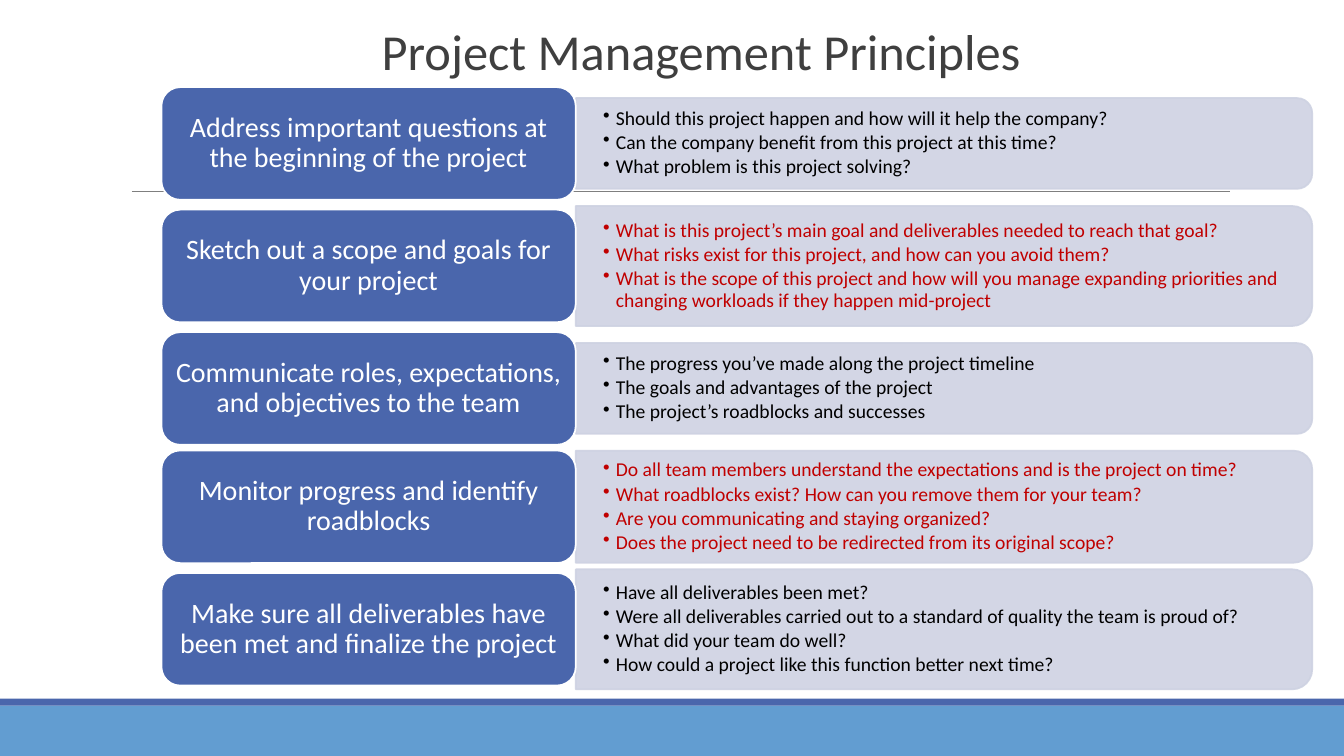
"""Build the project management principles slide."""
from lxml import etree
from pptx import Presentation
from pptx.dml.color import RGBColor
from pptx.enum.shapes import MSO_CONNECTOR, MSO_SHAPE as Preset
from pptx.enum.text import MSO_ANCHOR as Anchor, MSO_AUTO_SIZE as AutoSize, PP_ALIGN as Align
from pptx.oxml.ns import qn
from pptx.util import Pt

COLORS = {
    "blue": "4A66AC", "sky": "629DD1", "panel": "CED2E2", "rule": "7F7F7F",
    "title": "3F3F3F", "white": "FFFFFF", "black": "000000", "red": "C00000",
}


def write(holder, lines, size, color, align=Align.LEFT, anchor=Anchor.MIDDLE,
          insets=(0, 0, 0, 0), spacing=0.9, bulleted=False):
    frame = holder.text_frame
    frame.word_wrap = True
    frame.auto_size = AutoSize.NONE
    frame.vertical_anchor = anchor
    frame.margin_left, frame.margin_top, frame.margin_right, frame.margin_bottom = map(Pt, insets)
    for index, line in enumerate(lines):
        paragraph = frame.paragraphs[0] if index == 0 else frame.add_paragraph()
        if bulleted:
            props = paragraph._p.get_or_add_pPr()
            props.set("marL", str(Pt(9)))
            props.set("indent", str(-Pt(9)))
            tint = etree.SubElement(props, qn("a:buClr"))
            etree.SubElement(tint, qn("a:srgbClr"), val=COLORS[color])
            etree.SubElement(props, qn("a:buChar"), char="•")
            paragraph.level = 1
        paragraph.alignment = align
        paragraph.line_spacing = spacing
        paragraph.space_before = Pt(2.1 if index else 0)
        run = paragraph.add_run()
        run.text = line
        run.font.name = "Calibri"
        run.font.size = Pt(size)
        run.font.color.rgb = RGBColor.from_string(COLORS[color])


def add_block(preset, left, top, width, height, fill, outline=None):
    block = slide.shapes.add_shape(preset, Pt(left), Pt(top), Pt(width), Pt(height))
    block.shadow.inherit = False
    block.fill.solid()
    block.fill.fore_color.rgb = RGBColor.from_string(COLORS[fill])
    if outline:
        block.line.color.rgb = RGBColor.from_string(COLORS[outline])
        block.line.width = Pt(1.25)
    else:
        block.line.fill.background()
    return block


deck = Presentation()
deck.slide_width, deck.slide_height = Pt(960), Pt(540)
slide = deck.slides.add_slide(deck.slide_layouts[5])

add_block(Preset.RECTANGLE, 0, 504, 960, 36, "sky")
add_block(Preset.RECTANGLE, 0, 499, 960, 5, "blue")

rule = slide.shapes.add_connector(MSO_CONNECTOR.STRAIGHT, Pt(94.3), Pt(136.8), Pt(878.3), Pt(136.8))
rule.line.color.rgb = RGBColor.from_string(COLORS["rule"])
rule.line.width = Pt(0.75)
etree.SubElement(rule._element.spPr, qn("a:effectLst"))

title = slide.shapes.title
title.left, title.top, title.width, title.height = Pt(126), Pt(22.3), Pt(750), Pt(76.3)
write(title, ["Project Management Principles"], 36, "title", align=Align.CENTER,
      anchor=Anchor.BOTTOM, insets=(7.2, 0, 7.2, 41), spacing=0.85)

principles = [
    (102.5, 64.8, "black", "Address important questions at the beginning of the project", [
        "Should this project happen and how will it help the company?",
        "Can the company benefit from this project at this time?",
        "What problem is this project solving?"]),
    (190, 85.7, "red", "Sketch out a scope and goals for your project", [
        "What is this project’s main goal and deliverables needed to reach that goal?",
        "What risks exist for this project, and how can you avoid them?",
        "What is the scope of this project and how will you manage expanding priorities "
        "and changing workloads if they happen mid-project"]),
    (277.5, 64.8, "black", "Communicate roles, expectations, and objectives to the team", [
        "The progress you’ve made along the project timeline",
        "The goals and advantages of the project",
        "The project’s roadblocks and successes"]),
    (362, 80, "red", "Monitor progress and identify roadblocks", [
        "Do all team members understand the expectations and is the project on time?",
        "What roadblocks exist? How can you remove them for your team?",
        "Are you communicating and staying organized?",
        "Does the project need to be redirected from its original scope?"]),
    (449.5, 85.7, "black", "Make sure all deliverables have been met and finalize the project", [
        "Have all deliverables been met?",
        "Were all deliverables carried out to a standard of quality the team is proud of?",
        "What did your team do well?",
        "How could a project like this function better next time?"]),
]
HEADING_LEFT, HEADING_WIDTH, HEADING_HEIGHT = 115.3, 296, 80.5
PANEL_LEFT, PANEL_WIDTH = HEADING_LEFT + HEADING_WIDTH, 526

for middle, depth, color, heading, questions in principles:
    panel = add_block(Preset.ROUND_2_SAME_RECTANGLE, PANEL_LEFT + (PANEL_WIDTH - depth) / 2,
                      middle - PANEL_WIDTH / 2, depth, PANEL_WIDTH, "panel", "panel")
    panel.rotation = 90
    for tint in panel._element.spPr.iter(qn("a:srgbClr")):
        etree.SubElement(tint, qn("a:alpha"), val="89000")

    details_height = depth * 0.9
    details = slide.shapes.add_textbox(Pt(PANEL_LEFT), Pt(middle - details_height / 2),
                                       Pt(PANEL_WIDTH - 4), Pt(details_height))
    write(details, questions, 14, color, insets=(19.6, 9.8, 19.6, 9.8), bulleted=True)

    principle = add_block(Preset.ROUNDED_RECTANGLE, HEADING_LEFT, middle - HEADING_HEIGHT / 2,
                          HEADING_WIDTH, HEADING_HEIGHT, "blue", "white")
    write(principle, [heading], 20, "white", align=Align.CENTER, insets=(6, 3, 6, 3))

deck.save("out.pptx")
